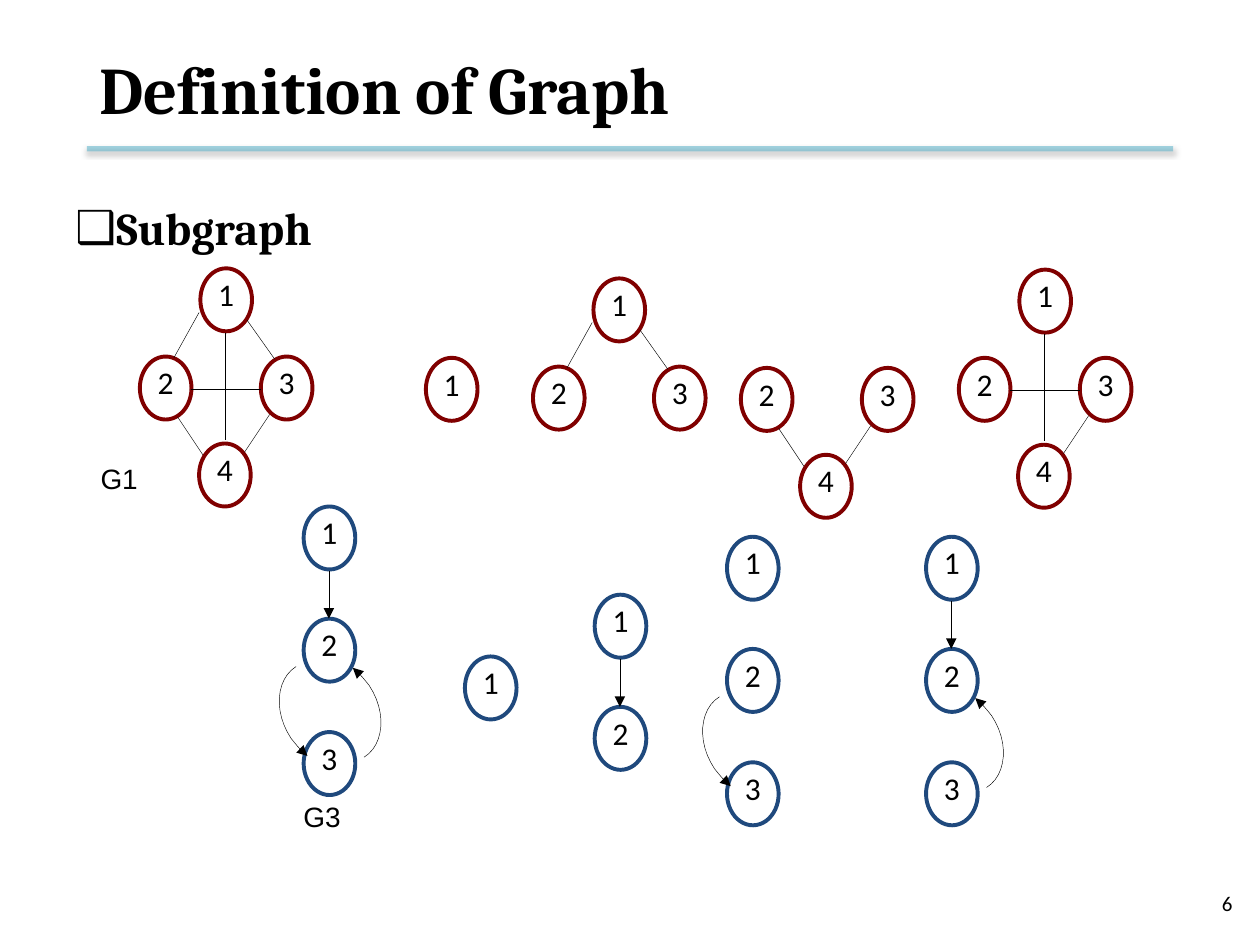
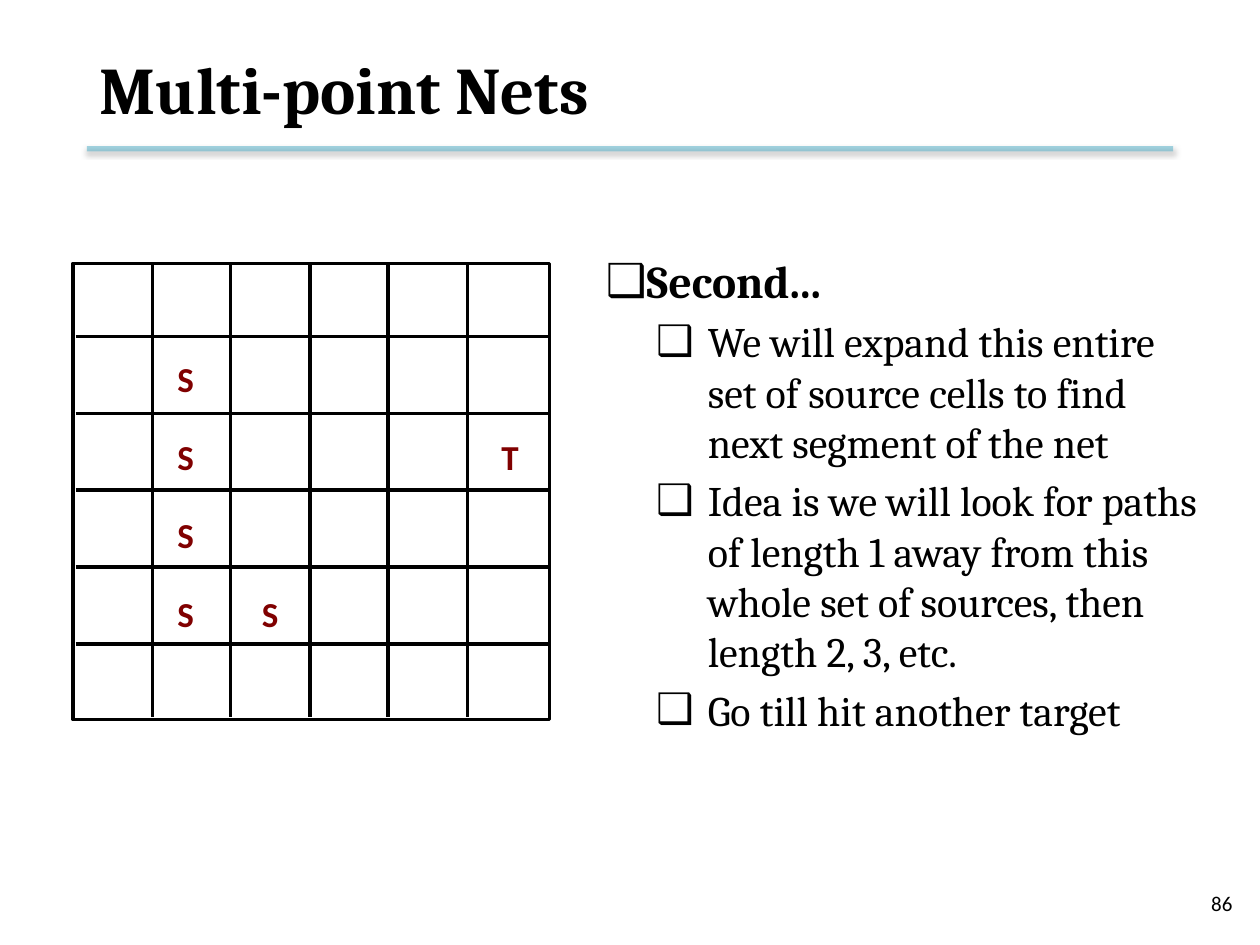
from lxml import etree
from pptx import Presentation
from pptx import util as u
from pptx.dml.color import RGBColor
from pptx.enum import shapes, text
from pptx.oxml.ns import qn

PX = 9144
BLACK = RGBColor(0x00, 0x00, 0x00)
RED = RGBColor(0x80, 0x00, 0x00)
NAVY = RGBColor(0x1F, 0x49, 0x7D)
TEAL = RGBColor(0x4B, 0xAC, 0xC6)

TITLE = dict(name="Cambria", size=u.Pt(38), bold=True)
HEAD = dict(name="Cambria", size=u.Pt(26), bold=True)
BODY = dict(name="Cambria", size=u.Pt(24), bold=False)
FOOT = dict(name="Calibri", size=u.Pt(12))
NODE = dict(name="Calibri", size=u.Pt(18))
TAG = dict(name="Arial", size=u.Pt(16))
MARK = dict(name="Calibri", size=u.Pt(20), bold=True)
MID = dict(vertical_anchor=text.MSO_ANCHOR.MIDDLE)
SNUG = dict(word_wrap=False, auto_size=text.MSO_AUTO_SIZE.SHAPE_TO_FIT_TEXT)
RIGHT = text.PP_ALIGN.RIGHT

W, H = 41, 50
SPOTS = {1: (48, 0), 2: (0, 70), 3: (96, 70), 4: (47, 139)}
EDGES = {
    "12": (27, 71, 47, 35),
    "13": (85, 41, 107, 72),
    "14": (68, 51, 68, 136),
    "23": (41, 96, 96, 96),
    "24": (30, 118, 50, 148),
    "34": (83, 146, 103, 116),
}
GRAPHS = [
    (111, 213, (1, 2, 3, 4), EDGES),
    (290, 284, (1,), ()),
    (423, 221, (1, 2, 3), ("12", "13")),
    (588, 222, (2, 3, 4), ("24", "34")),
    (761, 214, (1, 2, 3, 4), ("14", "23", "34")),
]
CHAINS = [
    (241, 402, 3, True, (1, -1)),
    (369, 521, 1, False, ()),
    (472, 472, 2, True, ()),
    (577, 426, 3, False, (1,)),
    (735, 426, 3, True, (-1,)),
]
BENDS = [
    ((-27, -36), (-43, -26), (-45, 0), (-31, 21)),
    ((-31, 21), (-27, 26), (-23, 31), (-18, 35)),
]
MARKS = [("S", 73, 1), ("S", 73, 2), ("S", 73, 3), ("S", 73, 4),
         ("S", 140, 4), ("T", 330, 2)]
POINTS = [
    ("Second...", 0),
    ("We will expand this entire set of source cells to find next segment of the net", 1),
    ("Idea is we will look for paths of length 1 away from this whole set of sources, "
     "then length 2, 3, etc.", 1),
    ("Go till hit another target", 1),
]


def apply(obj, fmt):
    """Set each format value on an object."""
    for key, val in fmt.items():
        setattr(obj, key, val)


def add(root, tag, **attrs):
    """Append one drawing element and return it."""
    return etree.SubElement(root, qn(tag), {k: str(v) for k, v in attrs.items()})


def style(par, font, color=BLACK):
    """Format the font of a paragraph."""
    apply(par.font, font)
    par.font.color.rgb = color


def write(pool, box, words, font, color=BLACK, frame=MID, align=None):
    """Place a one-line text box."""
    area = pool.add_textbox(*(n * PX for n in box)).text_frame
    apply(area, dict(dict(word_wrap=True), **frame))
    par = area.paragraphs[0]
    apply(par, dict(text=words, alignment=align))
    style(par, font, color)


def pen(item, color, width):
    """Give a shape or connector its line."""
    item.line.color.rgb = color
    item.line.width = u.Pt(width)


def tip(item):
    """Put an arrowhead on the end of a line."""
    add(item.element.spPr.find(qn("a:ln")), "a:tailEnd", type="triangle")


def wire(pool, ends, width=0.25, color=BLACK):
    """Draw a straight line and return it with its effect list."""
    line = pool.add_connector(shapes.MSO_CONNECTOR.STRAIGHT, *(n * PX for n in ends))
    pen(line, color, width)
    return line, add(line.element.spPr, "a:effectLst")


def node(pool, x, y, label, color, turn=0):
    """Draw a numbered graph node."""
    oval = pool.add_shape(shapes.MSO_SHAPE.OVAL, x * PX, y * PX, W * PX, H * PX)
    oval.shadow.inherit = False
    oval.fill.background()
    oval.rotation = turn
    pen(oval, color, 2.25)
    apply(oval.text_frame, dict(
        margin_left=0, margin_right=0, margin_top=0, margin_bottom=0,
        vertical_anchor=text.MSO_ANCHOR.TOP))
    par = oval.text_frame.paragraphs[0]
    apply(par, dict(text=str(label), alignment=text.PP_ALIGN.CENTER, line_spacing=0.96))
    style(par, NODE)


def arc(pool, x, y, side):
    """Draw a curved arrow about a centre; side -1 turns it half round."""
    dots = []
    for a, b, c, d in BENDS:
        for step in range(13):
            t = step / 12
            s = 1 - t
            at = [s**3 * i + 3 * s * s * t * j + 3 * s * t * t * k + t**3 * m
                  for i, j, k, m in zip(a, b, c, d)]
            dots.append((round((x + side * at[0]) * PX), round((y + side * at[1]) * PX)))
    path = pool.build_freeform(*dots[0])
    path.add_line_segments(dots[1:], close=False)
    curve = path.convert_to_shape()
    curve.shadow.inherit = False
    curve.fill.background()
    pen(curve, BLACK, 0.25)
    tip(curve)


def graph(pool, x, y, nodes, edges):
    """Draw some nodes and edges of the diamond graph."""
    for key in nodes:
        dx, dy = SPOTS[key]
        node(pool, x + dx, y + dy, key, RED)
    for key in edges:
        a, b, c, d = EDGES[key]
        wire(pool, (x + a, y + b, x + c, y + d))


def chain(pool, x, y, count, arrow, sides):
    """Draw a column of directed nodes."""
    for i in range(count):
        node(pool, x, y + 179 * i // 2, i + 1, NAVY, -0.5)
    if arrow:
        tip(wire(pool, (x + 20, y + 51, x + 20, y + 89))[0])
    for side in sides:
        arc(pool, x + 21, y + 163, side)


def grid(pool, x, y, w, h):
    """Draw the routing grid with its sources and target."""
    rim = pool.add_shape(shapes.MSO_SHAPE.RECTANGLE, x * PX, y * PX, w * PX, h * PX)
    rim.shadow.inherit = False
    rim.fill.background()
    pen(rim, BLACK, 2)
    for i in range(5):
        row, col = y + 58 + 61 * i, x + 63 + 125 * i // 2
        wire(pool, (x + 2, row, x + w - 1, row), 2)
        wire(pool, (col, y, col, y + h - 2), 2)
    for word, dx, row in MARKS:
        write(pool, (x + dx, y + 8 + 62 * row, 39, 43), word, MARK, RED, SNUG)


def points(pool, box, items):
    """Write a bulleted list with two levels."""
    area = pool.add_textbox(*(n * PX for n in box)).text_frame
    area.word_wrap = True
    for i, (words, level) in enumerate(items):
        par = area.add_paragraph() if i else area.paragraphs[0]
        apply(par, dict(text=words, level=level))
        if i:
            par.space_before = u.Pt(4.5)
        left, hang = ((25, -45), (81, -41))[level]
        props = par._p.get_or_add_pPr()
        props.set("marL", str(left * PX))
        props.set("indent", str(hang * PX))
        add(props, "a:buFont", typeface="Arial")
        add(props, "a:buChar", char="❑")
        style(par, (HEAD, BODY)[level])


def base(deck, title, number):
    """Add a slide with its title, rule and number."""
    pool = deck.slides.add_slide(deck.slide_layouts[6]).shapes
    line, glow = wire(pool, (69, 118, 931, 118), 3, TEAL)
    add(line.element.spPr.find(".//" + qn("a:srgbClr")), "a:alpha", val=50000)
    shade = add(glow, "a:outerShdw", blurRad=u.Pt(3.1), dist=u.Pt(1.6),
                dir=5400000, rotWithShape=0)
    add(add(shade, "a:srgbClr", val=BLACK), "a:alpha", val=38000)
    write(pool, (69, 17, 862, 106), title, TITLE)
    write(pool, (755, 697, 233, 40), number, FOOT, align=RIGHT)
    return pool


def subs(deck):
    """Build the slide on subgraphs."""
    pool = base(deck, "Definition of Graph", "6")
    points(pool, (50, 154, 900, 495), [("Subgraph", 0)])
    for item in GRAPHS:
        graph(pool, *item)
    for item in CHAINS:
        chain(pool, *item)
    for word, x, y in (("G1", 70, 361), ("G3", 231, 629)):
        write(pool, (x, y, 56, 37), word, TAG, frame=dict(MID, **SNUG))


def nets(deck):
    """Build the slide on nets with many points."""
    pool = base(deck, "Multi-point Nets", "86")
    grid(pool.add_group_shape().shapes, 58, 209, 378, 362)
    points(pool, (471, 196, 490, 428), POINTS)


def main():
    """Build and save the deck."""
    deck = Presentation()
    apply(deck, dict(slide_width=1000 * PX, slide_height=750 * PX))
    subs(deck)
    nets(deck)
    deck.save("out.pptx")


if __name__ == "__main__":
    main()
